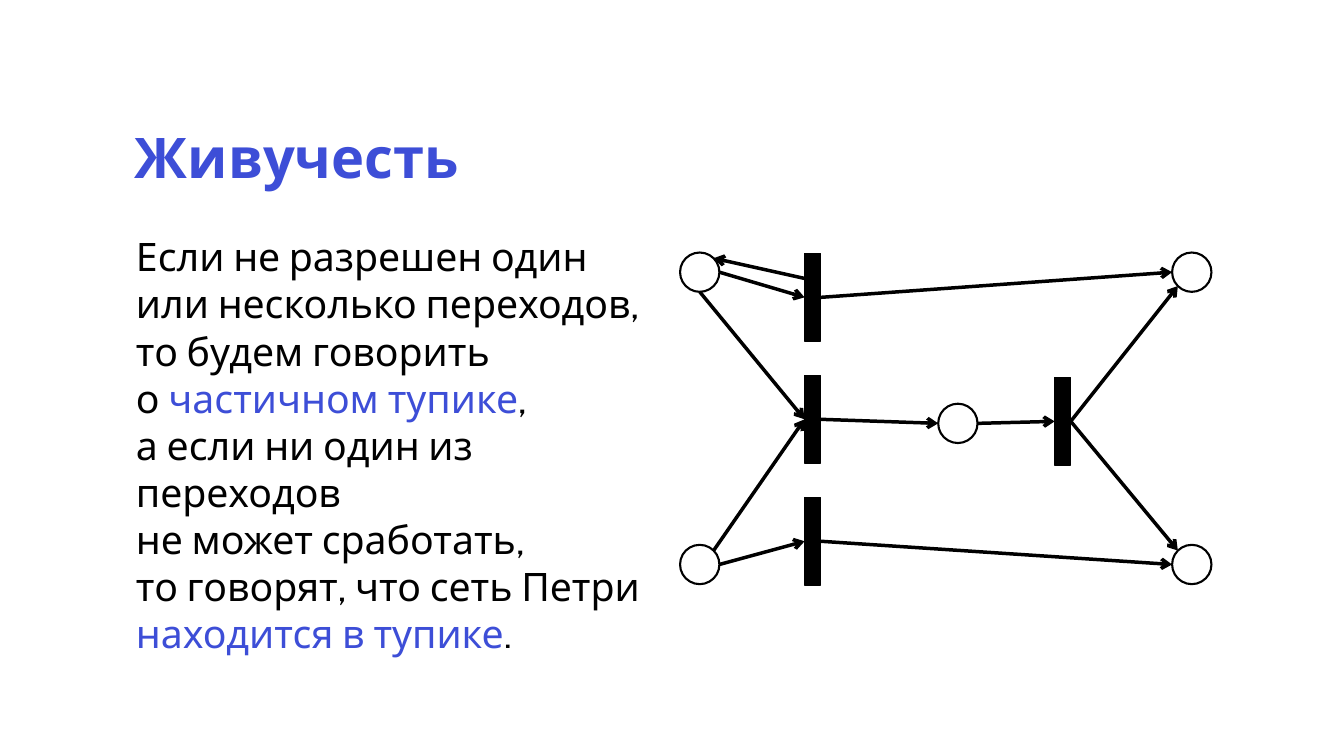
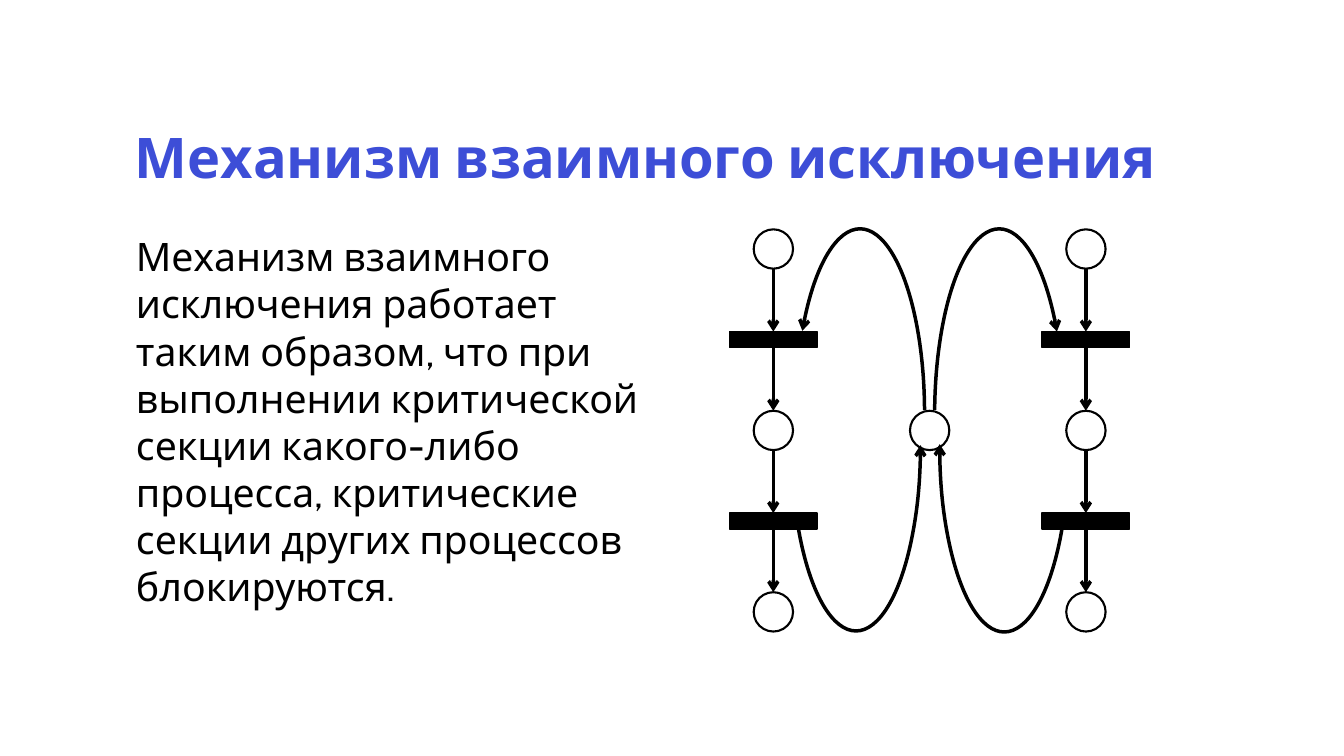
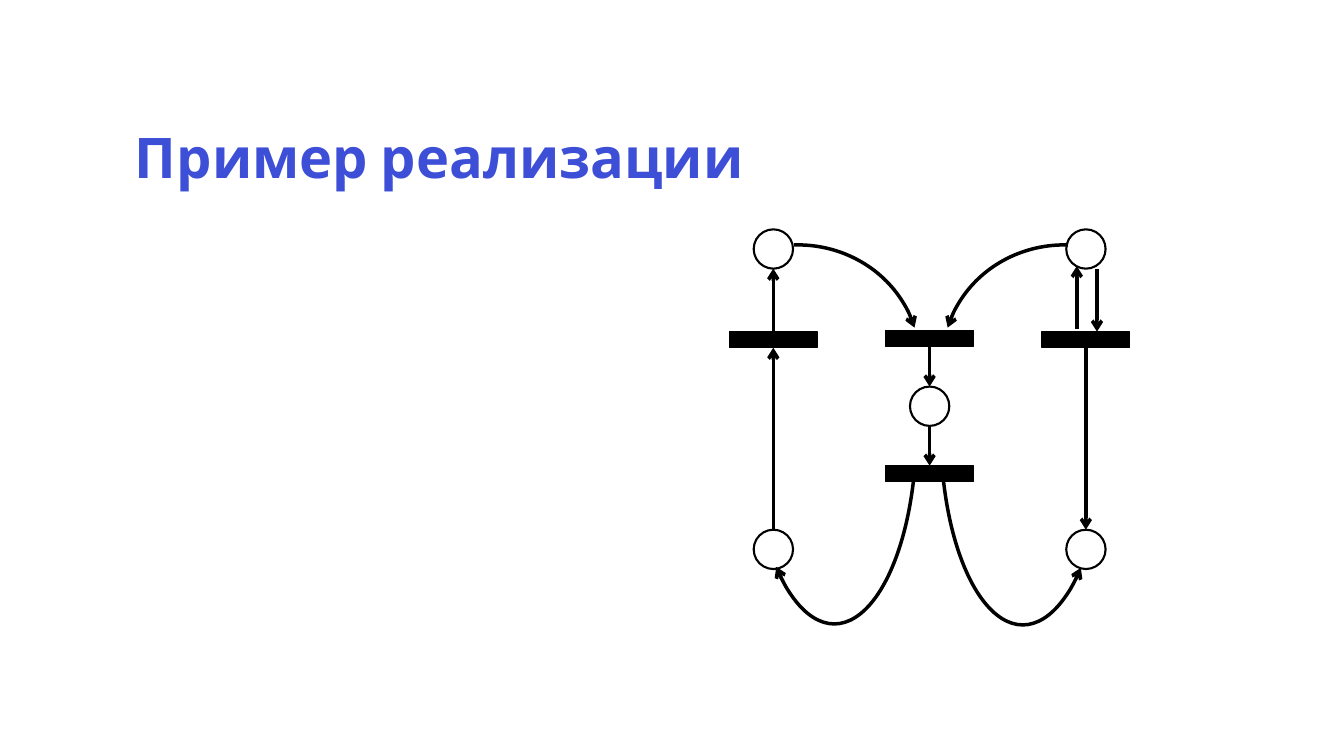
from dataclasses import dataclass
from math import sqrt
from typing import NamedTuple

from lxml import etree
from pptx import Presentation
from pptx.dml.color import RGBColor
from pptx.enum import shapes, text
from pptx.oxml import ns
from pptx.util import Inches, Pt

FONT = "Cabin"
ACCENT = "3D4ED7"
BLACK = "000000"
WHITE = "FFFFFF"

CIRCLE = 0.39
BAR_LONG, BAR_SHORT = 0.87, 0.16
ARROW_WIDTH = 2.5

TITLE_BOX = (1.24, 1.24, 10.85, 0.8)
BODY_BOX = (1.25, 2.26, 5.42, 3.87)

# Left, middle and right columns of the two nets with upright processes
LEFT, MIDDLE, RIGHT = (7.67 + 1.55 * column for column in range(3))
TOP_ROW, ROW_STEP = 2.47, 0.9

DIRECTIONS = {"top": (0, -1), "left": (-1, 0), "bottom": (0, 1), "right": (1, 0)}
RECTANGLE_SITES = {"top": 0, "left": 1, "bottom": 2, "right": 3}


class Run(NamedTuple):
    text: str
    color: str = BLACK


class Point(NamedTuple):
    x: float
    y: float


@dataclass(frozen=True)
class Node:
    """A place (circle) or a transition (bar) of a Petri net, given by its centre."""
    x: float
    y: float
    width: float
    height: float
    is_bar: bool

    def port(self, side: str) -> Point:
        """Point on the outline, for a side such as "top" or "top right"."""
        parts = [DIRECTIONS[word] for word in side.split()]
        reach = 1 / sqrt(len(parts))
        return Point(self.x + sum(dx for dx, _ in parts) * reach * self.width / 2,
                     self.y + sum(dy for _, dy in parts) * reach * self.height / 2)


class End(NamedTuple):
    node: Node
    side: str


@dataclass(frozen=True)
class Arc:
    """Part of an ellipse; angles are in degrees, before flipping."""
    box: tuple[float, float, float, float]
    start: float
    end: float
    flip: str = ""
    arrow_at: str = "tail"


Arrow = tuple[End | Point, End | Point]


def circle(x: float, y: float) -> Node:
    return Node(x, y, CIRCLE, CIRCLE, False)


def flat_bar(x: float, y: float) -> Node:
    return Node(x, y, BAR_LONG, BAR_SHORT, True)


def upright_bar(x: float, y: float) -> Node:
    return Node(x, y, BAR_SHORT, BAR_LONG, True)


def rgb(color: str) -> RGBColor:
    return RGBColor.from_string(color)


def add_text(slide, box, runs: list[Run], *, size: float, bold: bool = False,
             line_spacing: float | None = None, grow: bool = False) -> None:
    frame = slide.shapes.add_textbox(*map(Inches, box)).text_frame
    frame.word_wrap = True
    if grow:
        frame.auto_size = text.MSO_AUTO_SIZE.SHAPE_TO_FIT_TEXT
    paragraph = frame.paragraphs[0]
    paragraph.line_spacing = line_spacing
    for content, color in runs:
        for index, line in enumerate(content.split("\n")):
            if index:
                paragraph.add_line_break()
            if line:
                run = paragraph.add_run()
                run.text = line
                run.font.name, run.font.size, run.font.bold = FONT, Pt(size), bold
                run.font.color.rgb = rgb(color)


def set_line(shape, width: float, arrow_at: str | None = None) -> None:
    shape.line.color.rgb = rgb(BLACK)
    shape.line.width = Pt(width)
    if arrow_at:
        outline = shape.element.spPr.find(ns.qn("a:ln"))
        etree.SubElement(outline, ns.qn(f"a:{arrow_at}End"), type="arrow")


def add_node(slide, node: Node):
    kind = shapes.MSO_SHAPE.RECTANGLE if node.is_bar else shapes.MSO_SHAPE.OVAL
    shape = slide.shapes.add_shape(
        kind, Inches(node.x - node.width / 2), Inches(node.y - node.height / 2),
        Inches(node.width), Inches(node.height))
    shape.shadow.inherit = False
    shape.fill.solid()
    shape.fill.fore_color.rgb = rgb(BLACK if node.is_bar else WHITE)
    set_line(shape, 1 if node.is_bar else 1.5)
    return shape


def add_arrow(slide, arrow: Arrow, drawn: dict) -> None:
    """Draw an arrow and join it to the bars it touches."""
    points = [end.node.port(end.side) if isinstance(end, End) else end for end in arrow]
    connector = slide.shapes.add_connector(
        shapes.MSO_CONNECTOR.STRAIGHT, *(Inches(value) for point in points for value in point))
    for end, connect in zip(arrow, (connector.begin_connect, connector.end_connect)):
        if isinstance(end, End) and end.node.is_bar:
            connect(drawn[end.node], RECTANGLE_SITES[end.side])
    set_line(connector, ARROW_WIDTH, "tail")
    etree.SubElement(connector.element.spPr, ns.qn("a:effectLst"))


def add_arc(slide, arc: Arc) -> None:
    shape = slide.shapes.add_shape(shapes.MSO_SHAPE.ARC, *map(Inches, arc.box))
    shape.shadow.inherit = False
    shape.fill.background()
    for index, angle in enumerate((arc.start, arc.end)):
        shape.adjustments[index] = angle * 0.6  # 60000 units a degree, scaled by 100000
    for axis in arc.flip:
        shape.element.spPr.find(ns.qn("a:xfrm")).set(f"flip{axis}", "1")
    set_line(shape, ARROW_WIDTH, arc.arrow_at)


def add_net(slide, nodes: list[Node], arrows: list[Arrow], arcs: list[Arc]) -> None:
    drawn = {node: add_node(slide, node) for node in nodes}
    for arrow in arrows:
        add_arrow(slide, arrow, drawn)
    for arc in arcs:
        add_arc(slide, arc)


def chain(nodes: list[Node]) -> list[Arrow]:
    """Arrows leading down from each node to the next."""
    return [(End(upper, "bottom"), End(lower, "top")) for upper, lower in zip(nodes, nodes[1:])]


def add_titled_slide(presentation, title: str, body: list[Run] | None = None):
    slide = presentation.slides.add_slide(presentation.slide_layouts[6])
    add_text(slide, TITLE_BOX, [Run(title, ACCENT)], size=40, bold=True, line_spacing=0.9)
    if body:
        add_text(slide, BODY_BOX, body, size=28, grow=True)
    return slide


def build_liveness(presentation) -> None:
    slide = add_titled_slide(presentation, "Живучесть", [
        Run("Если не разрешен один\nили несколько переходов,\nто будем говорить\nо "),
        Run("частичном тупике", ACCENT),
        Run(",\nа если ни один из переходов\nне может сработать,\nто говорят, что сеть Петри "),
        Run("находится в тупике", ACCENT),
        Run("."),
    ])
    top_left, bottom_left, top_right, bottom_right = (
        circle(x, y) for x in (6.94, 11.82) for y in (2.7, 5.6))
    center = circle(9.5, 4.2)
    upper, middle, lower = (upright_bar(8.06, 2.95 + 1.21 * row) for row in range(3))
    last = upright_bar(10.54, 4.18)
    arrows = [
        (End(center, "right"), End(last, "left")),
        (End(lower, "right"), End(bottom_right, "left")),
        (End(upper, "right"), End(top_right, "left")),
        (End(last, "right"), End(bottom_right, "top left")),
        (End(last, "right"), End(top_right, "bottom left")),
        (End(top_left, "bottom"), End(middle, "left")),
        (End(middle, "right"), End(center, "left")),
        (End(bottom_left, "top right"), End(middle, "left")),
        (End(top_left, "right"), End(upper, "left")),
        (End(bottom_left, "right"), End(lower, "left")),
        (Point(8.06, 2.78), End(top_left, "top right")),
    ]
    add_net(slide, [top_left, bottom_left, top_right, bottom_right, center,
                    upper, middle, lower, last], arrows, [])


def build_mutual_exclusion(presentation) -> None:
    slide = add_titled_slide(presentation, "Механизм взаимного исключения", [
        Run("Механизм взаимного исключения работает таким образом, что при выполнении "
            "критической секции какого-либо процесса, критические секции других процессов "
            "блокируются.")])
    processes = [
        [(flat_bar if row % 2 else circle)(x, TOP_ROW + ROW_STEP * row) for row in range(5)]
        for x in (LEFT, RIGHT)]
    lock = circle(MIDDLE, TOP_ROW + 2 * ROW_STEP)
    arcs = [
        Arc((7.89, 2.27, 1.28, 3.66), 235, 357.3, arrow_at="head"),
        Arc((9.27, 2.27, 1.28, 3.68), 235.1, 356, "H", "head"),
        Arc((7.85, 2.56, 1.28, 3.7), 232.5, 359.4, "V"),
        Arc((9.32, 2.58, 1.28, 3.69), 232.5, 1.6, "HV"),
    ]
    add_net(slide, [*processes[0], *processes[1], lock],
            [arrow for process in processes for arrow in chain(process)], arcs)


def build_example(presentation) -> None:
    slide = add_titled_slide(presentation, "Пример реализации")
    bar_row, bottom_row = TOP_ROW + ROW_STEP, 5.45
    left_top, right_top = (circle(x, TOP_ROW) for x in (LEFT, RIGHT))
    left_bar, right_bar = (flat_bar(x, bar_row) for x in (LEFT, RIGHT))
    left_bottom, right_bottom = (circle(x, bottom_row) for x in (LEFT, RIGHT))
    shared = [(circle if row == 1 else flat_bar)(MIDDLE, 3.36 + 0.67 * row) for row in range(3)]
    arrows = [
        (End(left_bar, "top"), End(left_top, "bottom")),
        (End(left_bottom, "top"), End(left_bar, "bottom")),
        (Point(10.68, 3.26), Point(10.68, 2.64)),
        (Point(10.88, 2.67), Point(10.88, 3.29)),
        (End(right_bar, "bottom"), End(right_bottom, "top")),
        *chain(shared),
    ]
    arcs = [
        Arc((9.35, 2.43, 2.41, 2.29), 195.7, 271.9, arrow_at="head"),
        Arc((6.71, 2.43, 2.41, 2.29), 195.7, 271.9, "H", "head"),
        Arc((7.46, 2.32, 1.63, 3.87), 210.5, 292.8, "HV"),
        Arc((9.33, 2.33, 1.63, 3.87), 210.5, 292.8, "V"),
    ]
    add_net(slide, [left_top, right_top, left_bar, right_bar, left_bottom, right_bottom, *shared],
            arrows, arcs)


def main() -> None:
    presentation = Presentation()
    presentation.slide_width, presentation.slide_height = Inches(13.33), Inches(7.5)
    build_liveness(presentation)
    build_mutual_exclusion(presentation)
    build_example(presentation)
    presentation.save("out.pptx")


if __name__ == "__main__":
    main()
